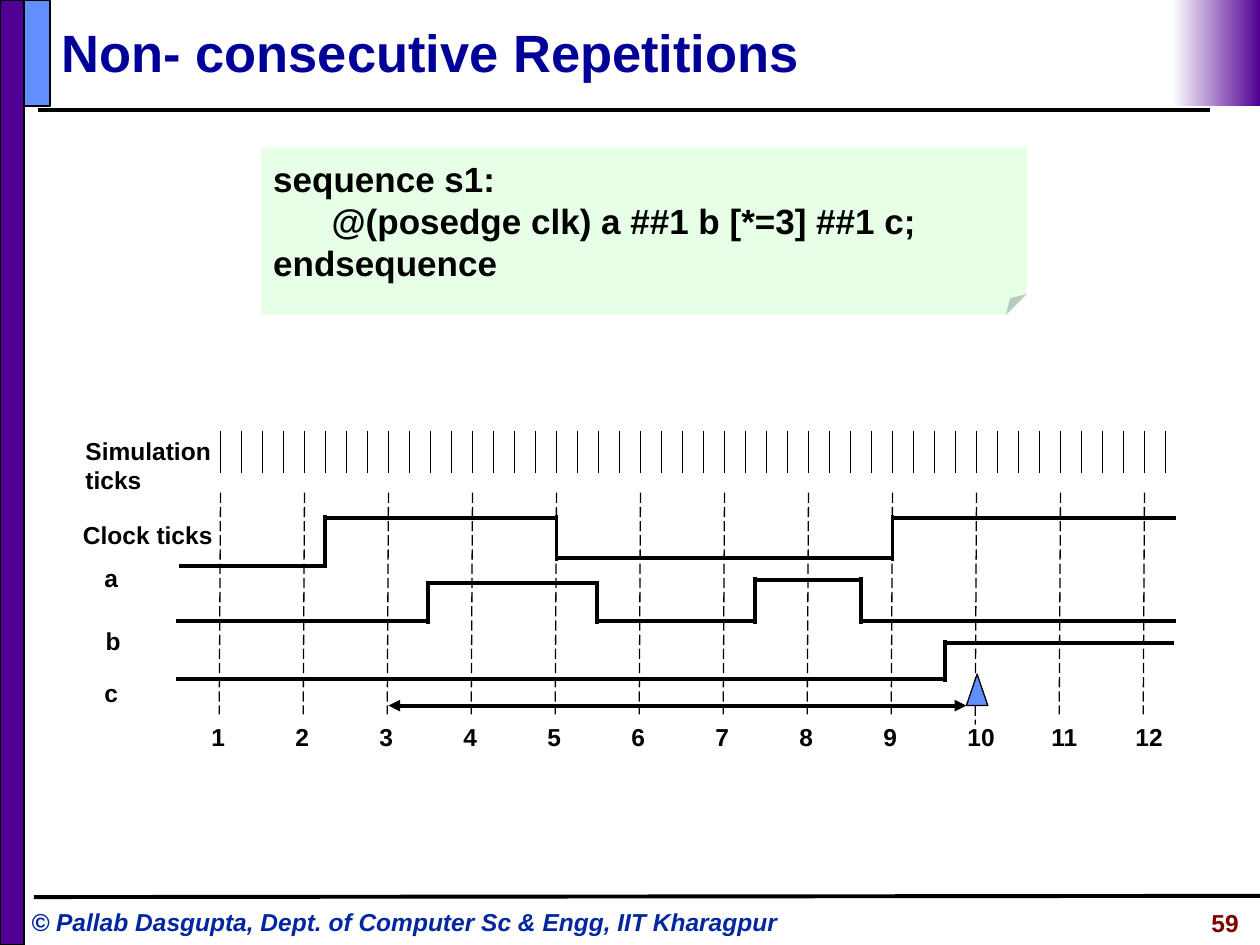
from lxml import etree
from pptx import Presentation
from pptx import util as u
from pptx.dml import color
from pptx.enum import dml, shapes, text
from pptx.oxml import ns

WIDE, HIGH = 10, 7.5
LEFT = 1.75       # first clock tick
STEP = 2 / 3      # one clock period
TICK = STEP / 4   # one simulation tick
CLOCKS = 12
BLACK, BLUE, PURPLE = "000000", "618FFD", "500093"


def rgb(code):
    return color.RGBColor.from_string(code)


def inch(*nums):
    return [u.Inches(n) for n in nums]


def clock(num):
    """Left position of a clock tick, counted from 1."""
    return LEFT + (num - 1) * STEP


def line(slide, start, end, width=2.25, dash=None, arrows=False):
    link = slide.shapes.add_connector(
        shapes.MSO_CONNECTOR.STRAIGHT, *inch(*start, *end))
    link.line.color.rgb = rgb(BLACK)
    link.line.width = u.Pt(width)
    if dash:
        link.line.dash_style = dash
    if arrows:
        stroke = link.line._get_or_add_ln()
        for tag in ("a:headEnd", "a:tailEnd"):
            etree.SubElement(stroke, ns.qn(tag), type="triangle")
    etree.SubElement(link._element.spPr, ns.qn("a:effectLst"))


def block(slide, kind, box, fill, edge=None):
    item = slide.shapes.add_shape(kind, *inch(*box))
    item.shadow.inherit = False
    if fill:
        item.fill.solid()
        item.fill.fore_color.rgb = rgb(fill)
    if edge:
        item.line.color.rgb = rgb(BLACK)
        item.line.width = u.Pt(edge)
    else:
        item.line.fill.background()
    return item


def write(frame, words, size=14, ink=BLACK, italic=False,
          align=text.PP_ALIGN.LEFT, anchor=text.MSO_ANCHOR.TOP):
    frame.word_wrap = True
    frame.vertical_anchor = anchor
    for i, row in enumerate(words.split("\n")):
        para = frame.add_paragraph() if i else frame.paragraphs[0]
        para.alignment = align
        run = para.add_run()
        run.text = row
        font = run.font
        font.name, font.size = "Arial", u.Pt(size)
        font.bold, font.italic = True, italic
        font.color.rgb = rgb(ink)


def label(slide, box, words, **style):
    write(slide.shapes.add_textbox(*inch(*box)).text_frame, words, **style)


def wave(slide, name, name_at, start, end, levels, edges):
    """Draw a signal that moves to the next level at each edge."""
    label(slide, (*name_at, 0.92, 0.34), name)
    stops = [start, *edges, end]
    for i, y in enumerate(levels):
        line(slide, (stops[i], y), (stops[i + 1], y))
    for x, old, new in zip(edges, levels, levels[1:]):
        top, low = sorted((old, new))
        line(slide, (x, top - 0.02), (x, low + 0.02))


def frame(slide):
    rect = shapes.MSO_SHAPE.RECTANGLE
    line(slide, (0.3, 0.87), (9.6, 0.87))
    block(slide, rect, (0, 0, 0.19, HIGH), PURPLE, edge=1)
    line(slide, (0.27, 7.12), (WIDE, 7.11))
    block(slide, rect, (0.19, 0, 0.21, 0.84), BLUE, edge=1)
    fade = block(slide, rect, (9.3, 0, 0.7, 0.84), None)
    fade.fill.gradient()
    fade.fill.gradient_angle = 180
    for stop, code in zip(fade.fill.gradient_stops, (PURPLE, "FFFFFF")):
        stop.color.rgb = rgb(code)
    label(slide, (0.15, 7.15, 6.37, 0.34),
          "© Pallab Dasgupta, Dept. of Computer Sc & Engg, IIT Kharagpur",
          ink="00279F", italic=True)
    label(slide, (8.18, 7.16, 1.75, 0.34), "59", ink="800000",
          align=text.PP_ALIGN.RIGHT)


def ticks(slide):
    label(slide, (0.58, 3.41, 1.67, 0.57), "Simulation ticks")
    for i in range(46):
        x = LEFT + i * TICK
        line(slide, (x, 3.42), (x, 3.75), width=0.75)
    label(slide, (0.56, 4.08, 1.25, 0.34), "Clock ticks")
    for num in range(1, CLOCKS + 1):
        x = clock(num)
        foot = 5.75 if num == 10 else 5.67
        line(slide, (x, 3.91), (x - 0.01, foot), width=0.75,
             dash=dml.MSO_LINE.LONG_DASH)
        label(slide, (x - 0.17, 5.68, 0.5, 0.34), str(num))


def main():
    deck = Presentation()
    deck.slide_width, deck.slide_height = inch(WIDE, HIGH)
    slide = deck.slides.add_slide(deck.slide_layouts[6])
    frame(slide)

    # Title and code note
    label(slide, (0.39, 0.1, 9.1, 0.61), "Non- consecutive Repetitions",
          size=30, ink="000099", anchor=text.MSO_ANCHOR.MIDDLE)
    note = block(slide, shapes.MSO_SHAPE.FOLDED_CORNER,
                 (2.07, 1.17, 6.08, 1.33), "E7FFE7")
    guides = note._element.spPr.find(".//" + ns.qn("a:avLst"))
    etree.SubElement(guides, ns.qn("a:gd"), name="adj", fmla="val 12500")
    write(note.text_frame,
          "sequence s1:\n"
          "      @(posedge clk) a ##1 b [*=3] ##1 c;\n"
          "endsequence",
          size=20, anchor=text.MSO_ANCHOR.MIDDLE)

    # Timing diagram
    ticks(slide)
    wave(slide, "a", (0.73, 4.42), 1.42, 9.33,
         [4.49, 4.11, 4.43, 4.11], [2.58, clock(5), clock(9)])
    wave(slide, "b", (0.74, 4.92), 1.4, 9.33,
         [4.93, 4.63, 4.93, 4.6, 4.93], [3.4, 4.74, 5.99, 6.83])
    wave(slide, "c", (0.73, 5.33), 1.4, 9.32, [5.39, 5.1], [7.5])

    # Matched span and its end point
    block(slide, shapes.MSO_SHAPE.ISOSCELES_TRIANGLE,
          (7.67, 5.35, 0.17, 0.25), BLUE, edge=0.75)
    line(slide, (clock(3), 5.6), (7.67, 5.6), arrows=True)

    deck.save("out.pptx")


if __name__ == "__main__":
    main()
